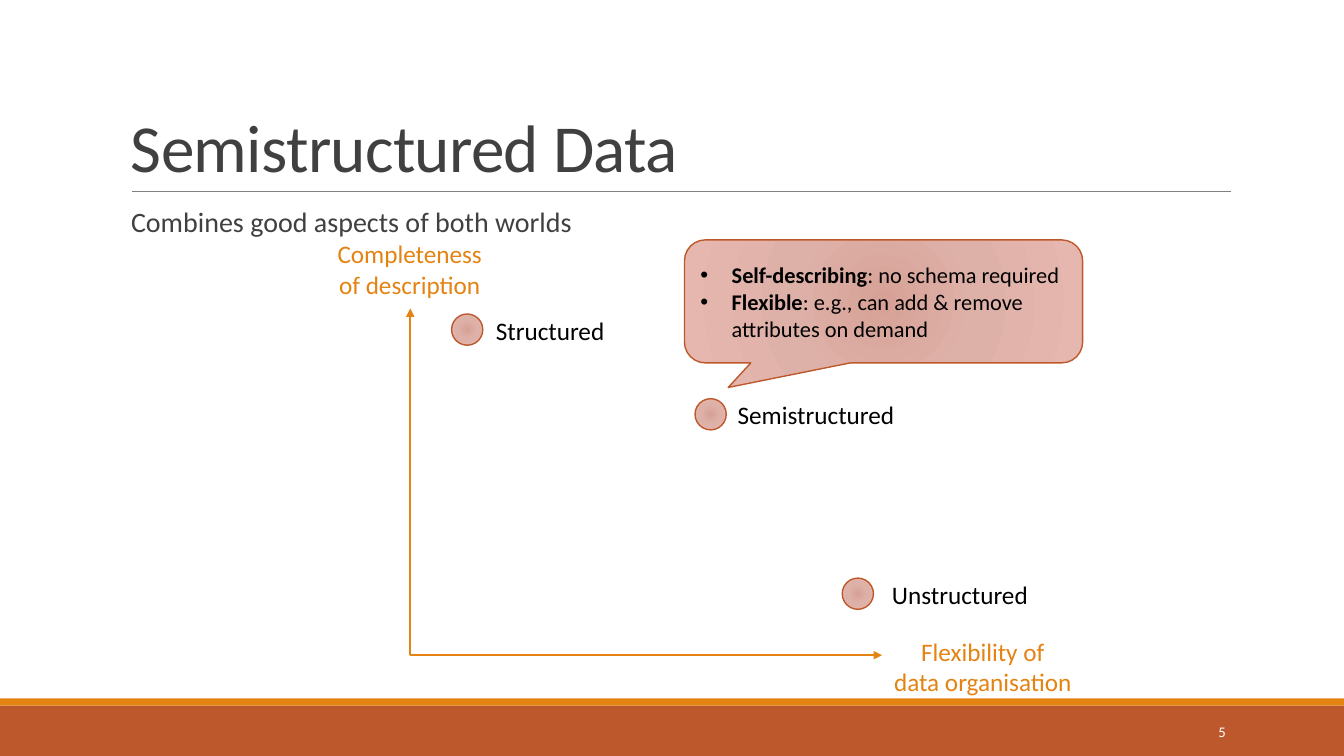
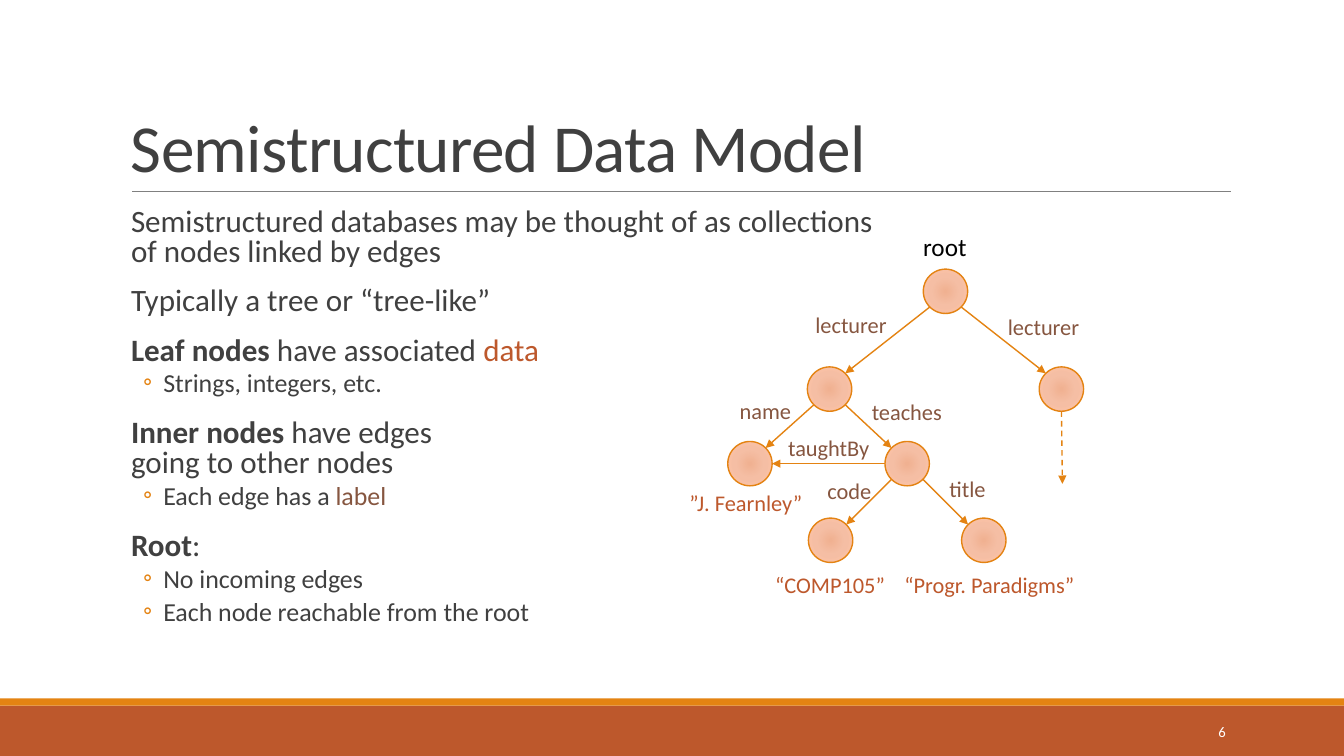
from lxml import etree
from pptx import Presentation
from pptx.dml.color import RGBColor
from pptx.enum import dml, shapes, text
from pptx.oxml import ns
from pptx.util import Inches, Pt

# Grid: square cells, ten to the inch
COLUMNS, ROWS = 133.33, 75
MARGIN, CONTENT_WIDTH = 12, 110

FONT = "Calibri"
BLACK, WHITE, DARK, GREY = "000000", "FFFFFF", "404040", "808080"
ORANGE, RUST, BROWN = "E48312", "BD582C", "865640"
ROSE_GLOW = ("D7A197", "DEB1A8", "E6B7AE")
PEACH_GLOW = ("F0B191", "F5BEA4", "FDC3A8")
LEFT, CENTER, RIGHT = text.PP_ALIGN.LEFT, text.PP_ALIGN.CENTER, text.PP_ALIGN.RIGHT

DOT, NODE = 3.1, 4.4  # diameters


def cells(count):
    return Inches(count / 10)


def color(hex_string):
    return RGBColor.from_string(hex_string)


def add_xml(parent, tag, **attributes):
    return etree.SubElement(parent, ns.qn(tag), attributes)


# ---- Text ----
def fill_paragraph(paragraph, pieces, size, ink, align=LEFT):
    """Write pieces: plain strings or (string, style) with style "bold" or a colour."""
    paragraph.alignment = align
    for piece in pieces:
        words, style = piece if isinstance(piece, tuple) else (piece, None)
        for number, line in enumerate(words.split("\n")):
            if number:
                paragraph.add_line_break()
            run = paragraph.add_run()
            run.text = line
            run.font.name, run.font.size = FONT, Pt(size)
            run.font.bold = style == "bold"
            run.font.color.rgb = color(ink if style in (None, "bold") else style)


def set_indent(paragraph, margin, bullet=None, hanging=0, bullet_color=None):
    properties = paragraph._p.get_or_add_pPr()
    properties.set("marL", str(cells(margin)))
    properties.set("indent", str(-cells(hanging)))
    if bullet_color:
        add_xml(add_xml(properties, "a:buClr"), "a:srgbClr", val=bullet_color)
    if bullet:
        add_xml(properties, "a:buFont", typeface="Arial" if bullet == "•" else FONT)
        add_xml(properties, "a:buChar", char=bullet)


def add_text_frame(slide, left, top, width, height, anchor=text.MSO_ANCHOR.TOP):
    box = slide.shapes.add_textbox(*map(cells, (left, top, width, height)))
    frame = box.text_frame
    frame.word_wrap = True
    frame.vertical_anchor = anchor
    return frame


def add_label(slide, words, left, top, width, size=18, ink=BLACK, align=LEFT):
    height = 1 + 0.17 * size * len(words.split("\n"))
    frame = add_text_frame(slide, left, top, width, height)
    frame.word_wrap = False
    frame.auto_size = text.MSO_AUTO_SIZE.SHAPE_TO_FIT_TEXT
    fill_paragraph(frame.paragraphs[0], [words], size, ink, align)


def add_body(slide, items, size, sub_size, spacing):
    """Items are (level, pieces); level 1 is bulleted."""
    frame = add_text_frame(slide, MARGIN, 20.2, CONTENT_WIDTH, 44)
    frame.margin_left = frame.margin_right = 0
    for number, (level, pieces) in enumerate(items):
        paragraph = frame.add_paragraph() if number else frame.paragraphs[0]
        paragraph.line_spacing = spacing
        paragraph.space_before = Pt((2 if level else 12) if number else 0)
        paragraph.space_after = Pt(4 if level else 2)
        if level:
            set_indent(paragraph, 4.2, "◦", 2, ORANGE)
        else:
            set_indent(paragraph, 1)
        fill_paragraph(paragraph, pieces, sub_size if level else size, DARK)


# ---- Shapes and lines ----
def add_band(slide, top, height, fill):
    band = slide.shapes.add_shape(
        shapes.MSO_SHAPE.RECTANGLE, 0, cells(top), cells(COLUMNS), cells(height))
    band.shadow.inherit = False
    band.fill.solid()
    band.fill.fore_color.rgb = color(fill)
    band.line.fill.background()


def add_glowing(slide, kind, left, top, width, height, glow, outline):
    shape = slide.shapes.add_shape(kind, *map(cells, (left, top, width, height)))
    shape.shadow.inherit = False
    shape.line.color.rgb = color(outline)
    shape.line.width = Pt(1)
    # Radial gradient in place of a plain fill
    shape.fill.solid()
    properties = shape._element.spPr
    gradient = etree.Element(ns.qn("a:gradFill"), rotWithShape="1")
    stops = add_xml(gradient, "a:gsLst")
    for position, hex_string in zip((0, 45000, 100000), glow):
        stop = add_xml(stops, "a:gs", pos=str(position))
        add_xml(stop, "a:srgbClr", val=hex_string)
    circle = add_xml(gradient, "a:path", path="circle")
    add_xml(circle, "a:fillToRect", **dict.fromkeys("ltrb", "100000"))
    properties.replace(properties.find(ns.qn("a:solidFill")), gradient)
    return shape


def add_circle(slide, center, diameter, glow, outline):
    left, top = (value - diameter / 2 for value in center)
    add_glowing(slide, shapes.MSO_SHAPE.OVAL, left, top, diameter, diameter, glow, outline)


def add_line(slide, start, end, ink=ORANGE, width=1, arrow=True, dashed=False):
    line = slide.shapes.add_connector(
        shapes.MSO_CONNECTOR.STRAIGHT, *map(cells, (*start, *end)))
    line.line.color.rgb = color(ink)
    line.line.width = Pt(width)
    if dashed:
        line.line.dash_style = dml.MSO_LINE.DASH
    if arrow:
        add_xml(line.line._get_or_add_ln(), "a:tailEnd", type="triangle")
    add_xml(line._element.spPr, "a:effectLst")


def add_edge(slide, start, end):
    """Join two nodes sideways in one row, or else diagonally downwards."""
    side = 1 if end[0] > start[0] else -1
    if start[1] == end[1]:
        across, down = side * NODE / 2, 0
    else:
        across, down = side * NODE * 0.354, NODE * 0.354
    add_line(slide, (start[0] + across, start[1] + down),
             (end[0] - across, end[1] - down))


# ---- Shared frame of the slides ----
def add_slide(presentation, title, number):
    slide = presentation.slides.add_slide(presentation.slide_layouts[6])
    add_band(slide, 70, ROWS - 70, RUST)
    add_band(slide, 69.3, 0.7, ORANGE)
    add_line(slide, (13.1, 19), (122.1, 19), GREY, 0.5, arrow=False)

    frame = add_text_frame(
        slide, MARGIN, 3.1, CONTENT_WIDTH, 15.9, text.MSO_ANCHOR.BOTTOM)
    heading = frame.paragraphs[0]
    heading.line_spacing = 0.85
    fill_paragraph(heading, [title], 48, DARK)
    heading.runs[0].font._element.set("spc", "-50")

    frame = add_text_frame(slide, 108.3, 70.6, 14.3, 4, text.MSO_ANCHOR.MIDDLE)
    fill_paragraph(frame.paragraphs[0], [str(number)], 10.5, WHITE, RIGHT)
    return slide


# ---- Slides ----
def build_comparison(presentation):
    slide = add_slide(presentation, "Semistructured Data", 5)
    add_body(slide, [(0, ["Combines good aspects of both worlds"])], 20, 18, 0.9)

    # Axes
    origin = (40.7, 65)
    add_line(slide, origin, (40.7, 30.6), width=1.25)
    add_line(slide, origin, (87.5, 65), width=1.25)
    add_label(slide, "Completeness\nof description", 32.4, 23.2, 16.5, 18, ORANGE, CENTER)
    add_label(slide, "Flexibility of\ndata organisation", 87.6, 62.6, 19.8, 18, ORANGE, CENTER)

    # Kinds of data: centre of the dot, left and width of the label
    for name, center, left, width in (
            ("Structured", (46.35, 32.7), 48.2, 12.9),
            ("Unstructured", (85.1, 58.9), 87.5, 15.6),
            ("Semistructured", (70.5, 41.1), 72.2, 17.7)):
        add_circle(slide, center, DOT, ROSE_GLOW, RUST)
        add_label(slide, name, left, center[1] - 1.95, width)

    # Callout
    callout = add_glowing(slide, shapes.MSO_SHAPE.ROUNDED_RECTANGULAR_CALLOUT,
                          67.9, 23.8, 39.5, 12.2, ROSE_GLOW, RUST)
    for index, value in enumerate((-0.39, 0.7, 0.17)):
        callout.adjustments[index] = value
    frame = callout.text_frame
    frame.word_wrap = True
    frame.vertical_anchor = text.MSO_ANCHOR.MIDDLE
    points = (("Self-describing", ": no schema required"),
              ("Flexible", ": e.g., can add & remove attributes on demand"))
    for number, (term, meaning) in enumerate(points):
        paragraph = frame.add_paragraph() if number else frame.paragraphs[0]
        set_indent(paragraph, 3.1, "•", 3.1)
        fill_paragraph(paragraph, [(term, "bold"), meaning], 16, BLACK)


def build_model(presentation):
    slide = add_slide(presentation, "Semistructured Data Model", 6)
    add_body(slide, [
        (0, ["Semistructured databases may be thought of as collections\n"
             "of nodes linked by edges"]),
        (0, ["Typically a tree or “tree-like”"]),
        (0, [("Leaf nodes ", "bold"), "have associated ", ("data", RUST)]),
        (1, ["Strings, integers, etc."]),
        (0, [("Inner nodes ", "bold"), "have edges\ngoing to other nodes"]),
        (1, ["Each edge has a ", ("label", BROWN)]),
        (0, [("Root", "bold"), ":"]),
        (1, ["No incoming edges"]),
        (1, ["Each node reachable from the root"]),
    ], 22.2, 18.5, 0.8)

    # Tree
    nodes = {
        "root": (93.8, 28.9),
        "lecturer": (82.3, 38.6), "other lecturer": (105.3, 38.6),
        "name": (74.4, 46), "module": (90, 46),
        "code": (82.4, 53.6), "title": (97.6, 53.6),
    }
    for center in nodes.values():
        add_circle(slide, center, NODE, PEACH_GLOW, ORANGE)
    for start, end in (("root", "lecturer"), ("root", "other lecturer"),
                       ("lecturer", "name"), ("lecturer", "module"),
                       ("module", "name"), ("module", "code"), ("module", "title")):
        add_edge(slide, nodes[start], nodes[end])
    across, down = nodes["other lecturer"]
    add_line(slide, (across, down + NODE / 2), (across + 0.1, 48), dashed=True)

    # Labels of the root, the edges and the leaves
    add_label(slide, "root", 90.6, 22.5, 6.4)
    for name, left, top, width in (
            ("lecturer", 99, 30.6, 9.2), ("lecturer", 79.9, 30.4, 9.2),
            ("name", 72.4, 38.9, 7.2), ("teaches", 85.5, 39, 9.1),
            ("taughtBy", 77.2, 42.6, 10.4),
            ("code", 81.1, 46.8, 6.4), ("title", 93.2, 46.6, 5.7)):
        add_label(slide, name, left, top, width, 16, BROWN)
    for value, left, top, width in (
            ("”J. Fearnley”", 67.3, 48, 13.4),
            ("“COMP105”", 75.8, 56.2, 13.1),
            ("“Progr. Paradigms”", 88.6, 56.2, 19.1)):
        add_label(slide, value, left, top, width, 16, RUST, CENTER)


def main():
    presentation = Presentation()
    presentation.slide_width, presentation.slide_height = cells(COLUMNS), cells(ROWS)
    build_comparison(presentation)
    build_model(presentation)
    presentation.save("out.pptx")


if __name__ == "__main__":
    main()
